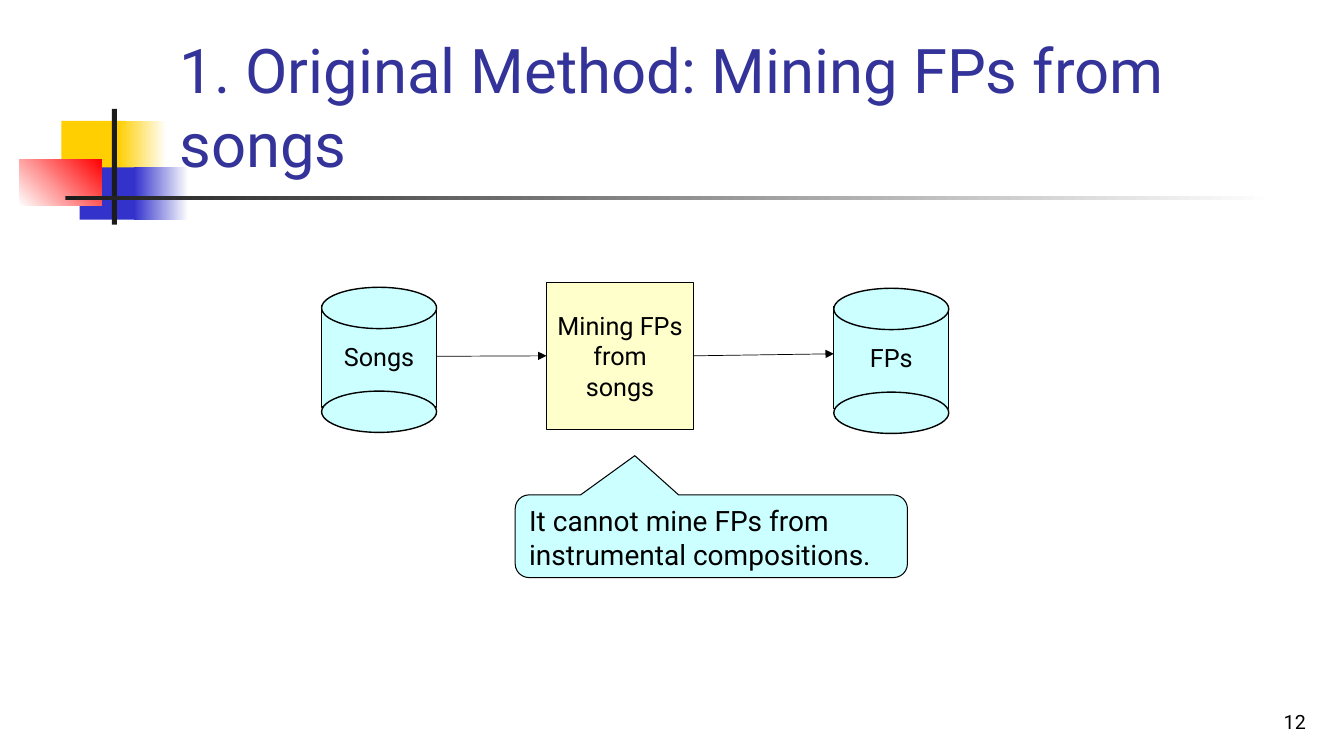
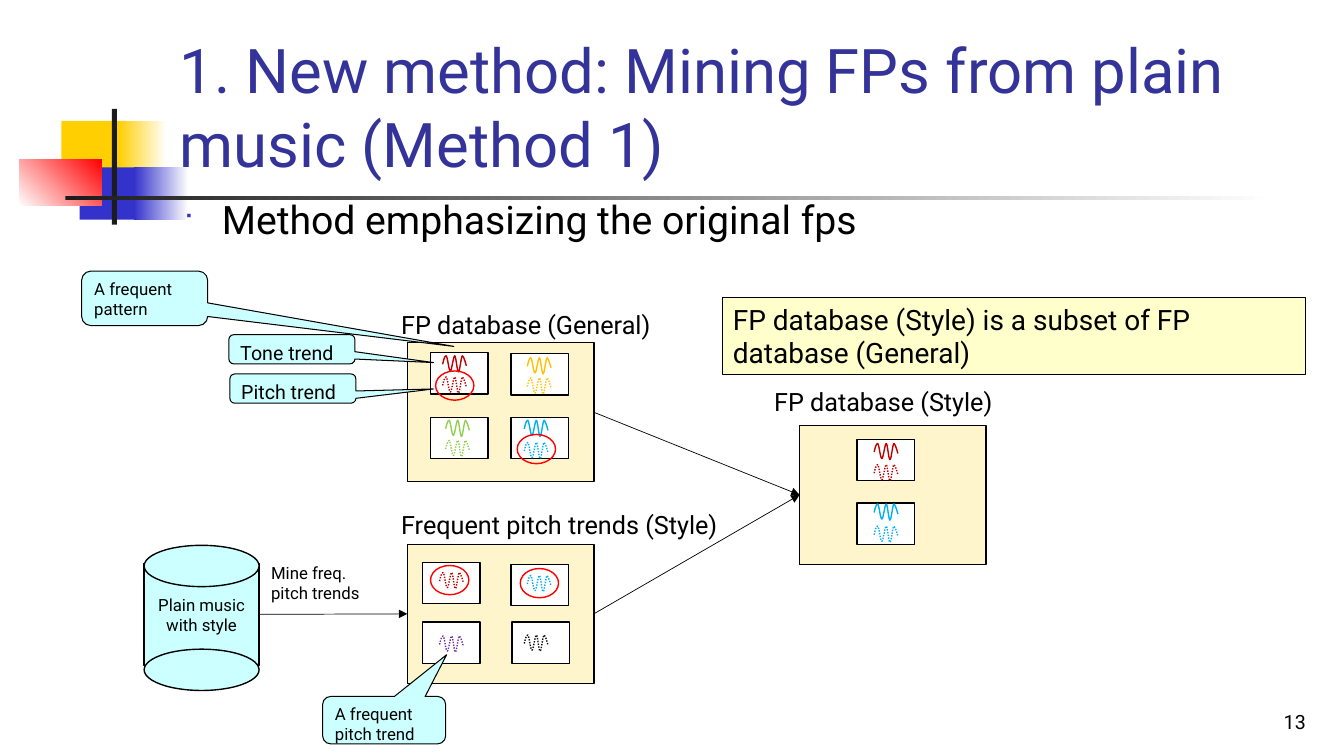
from lxml.etree import SubElement as Sub
from pptx import Presentation
from pptx.dml.color import RGBColor
from pptx.enum.dml import MSO_LINE as Dash
from pptx.enum.shapes import MSO_CONNECTOR as Conn, MSO_SHAPE as Kind
from pptx.enum.text import MSO_ANCHOR as Anchor, MSO_AUTO_SIZE as Auto, PP_ALIGN as Align
from pptx.oxml.ns import qn
from pptx.util import Inches, Pt

FONT = "Roboto"
BLACK, WHITE, NAVY, BLUE = "000000", "FFFFFF", "333399", "3333CC"
AQUA, CREAM, SAND, RED = "CCFFFF", "FFFFCC", "FFF5CC", "FF0000"
GOLD, DARK = "FFCF01", "1C1C1C"
RECT, OVAL, CALL = Kind.RECTANGLE, Kind.OVAL, Kind.ROUNDED_RECTANGULAR_CALLOUT

DECOR = [
    ((0.61, 1.2, 0.64, 0.52), GOLD, None, 0),
    ((1.17, 1.2, 0.48, 0.52), GOLD, WHITE, 0),
    ((0.79, 1.66, 0.62, 0.52), BLUE, None, 0),
    ((1.33, 1.66, 0.54, 0.52), BLUE, WHITE, 0),
    ((0.19, 1.58, 0.82, 0.46), WHITE, RED, 45),
    ((1.11, 1.08, 0.05, 1.15), DARK, None, 0),
    ((0.65, 1.94, 12, 0.04), DARK, WHITE, 0),
]
TITLE = (1.68, 0.23, 11.36, 1.6)
BODY = (1.72, 1.89, 11.33, 4.5)
FOOT = (10.27, 6.83, 2.78, 0.5)

NOTE = ("It cannot mine FPs from instrumental compositions.", 20,
        (5.11, 4.91, 3.89, 0.82), (-0.195, -0.975))
CALLS = [
    ("Tone trend", 14, (2.27, 3.32, 1.25, 0.29), (1.123, 0.455)),
    ("Pitch trend", 14, (2.28, 3.71, 1.25, 0.29), (1.115, 0.013)),
    ("A frequent pattern", 12, (0.81, 2.69, 1.25, 0.54), (2.453, 0.883)),
    ("A frequent pitch trend", 12, (3.2, 6.91, 1.22, 0.47), (0.508, -1.381)),
]
LABELS = [
    ("FP database (General)", 18, (3.88, 3.02, 2.69, 0.4), False),
    ("FP database (Style)", 18, (7.58, 3.78, 2.37, 0.4), False),
    ("Frequent pitch trends (Style)", 18, (3.88, 5, 3.4, 0.4), False),
    ("Mine freq. pitch trends", 12, (2.59, 5.53, 1.2, 0.5), True),
]
PANELS = [(4.04, 3.4), (4.04, 5.4), (7.93, 4.22)]
CARDS = [
    ((4.27, 3.5), "C00000", 4.39, (3.53, 3.74)),
    ((5.07, 3.51), "FFC000", 5.23, (3.55, 3.75)),
    ((4.27, 4.14), "92D050", 4.42, (4.17, 4.37)),
    ((5.07, 4.14), "00B0F0", 5.2, (4.17, 4.39)),
    ((4.19, 5.58), "C00000", 4.36, (5.68,)),
    ((5.07, 5.6), "00B0F0", 5.23, (5.71,)),
    ((4.19, 6.17), "7030A0", 4.36, (6.31,)),
    ((5.08, 6.17), "0D0D0D", 5.2, (6.3,)),
    ((8.5, 4.36), "C00000", 8.67, (4.4, 4.61)),
    ((8.5, 4.99), "00B0F0", 8.67, (5, 5.22)),
]
RINGS = [(4.27, 5.61), (4.32, 3.68), (5.13, 4.31), (5.16, 5.64)]
CURVE = [
    (10, 40), (20, 0), (35, 0),
    (50, 10), (60, 150), (77, 150),
    (90, 150), (107, 0), (120, 0),
    (133, 0), (143, 160), (157, 160),
    (170, 160), (183, 10), (196, 0),
    (210, 0), (235, 100), (235, 100),
]


def rgb(code):
    return RGBColor.from_string(code)


def inch(nums):
    return [Inches(n) for n in nums]


def paint(fill, code):
    if code:
        fill.solid()
        fill.fore_color.rgb = rgb(code)
    else:
        fill.background()


def edge(shape, code, width):
    paint(shape.line.fill, code)
    if code:
        shape.line.width = Pt(width)


def write(frame, text, size, code=BLACK, align=Align.LEFT, anchor=Anchor.TOP, wrap=True):
    frame.word_wrap = wrap
    frame.auto_size = Auto.NONE
    frame.vertical_anchor = anchor
    par = frame.paragraphs[0]
    par.alignment = align
    run = par.add_run()
    run.text = text
    run.font.size = Pt(size)
    run.font.name = FONT
    run.font.color.rgb = rgb(code)
    return par


def box(shapes, kind, spot, fill, line=BLACK, width=1):
    shape = shapes.add_shape(kind, *inch(spot))
    shape.shadow.inherit = False
    paint(shape.fill, fill)
    edge(shape, line, width)
    return shape


def label(shapes, text, size, spot, wrap=True, **style):
    write(shapes.add_textbox(*inch(spot)).text_frame, text, size, wrap=wrap, **style)


def call(shapes, text, size, spot, tip):
    shape = box(shapes, CALL, spot, AQUA, width=0.75)
    for i, val in enumerate((*tip, 0.167)):
        shape.adjustments[i] = val
    write(shape.text_frame, text, size)


def drum(shapes, x, y, text, size):
    group = shapes.add_group_shape().shapes
    core = box(group, RECT, (x, y + 0.18, 1.14, 1.01), AQUA)
    write(core.text_frame, text, size, align=Align.CENTER, anchor=Anchor.MIDDLE)
    for top in (y, y + 1.03):
        box(group, OVAL, (x, top, 1.14, 0.41), AQUA)
    return core


def link(shapes, start, goal, end=None):
    line = shapes.add_connector(Conn.STRAIGHT, 0, 0, *inch(end or (0, 0)))
    line.begin_connect(start, 3)
    if not end:
        line.end_connect(goal, 1)
    edge(line, BLACK, 0.5)
    props = line.element.spPr
    Sub(props.find(qn("a:ln")), qn("a:tailEnd"), type="triangle")
    Sub(props, qn("a:effectLst"))


def bend(shape):
    for route in shape.element.iter(qn("a:path")):
        legs = route.findall(qn("a:lnTo"))
        for i in range(0, len(legs), 3):
            curve = Sub(route, qn("a:cubicBezTo"))
            for leg in legs[i:i + 3]:
                curve.append(leg[0])
                route.remove(leg)


def wave(shapes, x, y, code, dots):
    pen = shapes.build_freeform(0, 85, scale=Inches(1) / 1000)
    pen.add_line_segments(CURVE, close=False)
    shape = pen.convert_to_shape(*inch((x, y)))
    bend(shape)
    shape.shadow.inherit = False
    shape.fill.background()
    edge(shape, code, 1)
    if dots:
        shape.line.dash_style = Dash.ROUND_DOT


def adorn(deck, slide):
    tree = deck.slide_master.placeholders[0].element.getparent()
    for i, (spot, code, fade, angle) in enumerate(DECOR):
        shape = box(slide.shapes, RECT, spot, code, None)
        if fade:
            shape.fill.gradient()
            shape.fill.gradient_angle = angle
            for stop, tint in zip(shape.fill.gradient_stops, (code, fade)):
                stop.color.rgb = rgb(tint)
        shape.element.nvSpPr.cNvPr.set("id", str(100 + i))
        tree.insert(2 + i, shape.element)


def place(holder, spot):
    holder.left, holder.top, holder.width, holder.height = inch(spot)
    return holder.text_frame


def start(deck, layout, title, num):
    slide = deck.slides.add_slide(deck.slide_layouts[layout])
    write(place(slide.shapes.title, TITLE), title, 44, NAVY, anchor=Anchor.BOTTOM)
    label(slide.shapes, num, 14, FOOT, align=Align.RIGHT, anchor=Anchor.BOTTOM)
    return slide


def bullet(holder, text):
    par = write(place(holder, BODY), text, 28)
    props = par._p.get_or_add_pPr()
    props.set("marL", str(Inches(0.38)))
    props.set("indent", str(Inches(-0.38)))
    Sub(Sub(props, qn("a:buClr")), qn("a:srgbClr"), val=BLUE)
    Sub(props, qn("a:buSzPct"), val="60000")
    Sub(props, qn("a:buFont"), typeface="Wingdings")
    Sub(props, qn("a:buChar"), char="■")


def first(deck):
    slide = start(deck, 5, "1. Original Method: Mining FPs from songs", "12")
    adorn(deck, slide)
    shapes = slide.shapes
    mine = box(shapes, RECT, (5.42, 2.8, 1.46, 1.46), CREAM)
    write(mine.text_frame, "Mining FPs from songs", 18, align=Align.CENTER, anchor=Anchor.MIDDLE)
    songs = drum(shapes, 3.19, 2.85, "Songs", 18)
    fps = drum(shapes, 8.27, 2.86, "FPs", 18)
    link(shapes, songs, mine)
    link(shapes, mine, fps, (8.27, 3.51))
    call(shapes, *NOTE)


def second(deck):
    slide = start(deck, 1, "1. New method: Mining FPs from plain music (Method 1)", "13")
    shapes = slide.shapes
    bullet(slide.placeholders[1], "Method emphasizing the original fps")
    whole, trends, style = [box(shapes, RECT, (*at, 1.85, 1.38), SAND) for at in PANELS]
    music = drum(shapes, 1.43, 5.41, "Plain music with style", 12)
    for at, *_ in CARDS:
        box(shapes, RECT, (*at, 0.57, 0.41), WHITE)
    for item in CALLS:
        call(shapes, *item)
    for item in LABELS:
        label(shapes, *item)
    for _, code, x, tops in CARDS:
        for y in tops:
            wave(shapes, x, y, code, y == tops[-1])
    for at in RINGS:
        box(shapes, OVAL, (*at, 0.38, 0.29), None, RED)
    for a, b in ((music, trends), (trends, style), (whole, style)):
        link(shapes, a, b)
    fact = box(shapes, RECT, (7.17, 2.95, 5.78, 0.77), CREAM, width=0.75)
    write(fact.text_frame, "FP database (Style) is a subset of FP database (General)", 20)


def main():
    deck = Presentation()
    deck.slide_width, deck.slide_height = inch((13.33, 7.5))
    first(deck)
    second(deck)
    deck.save("out.pptx")


if __name__ == "__main__":
    main()
